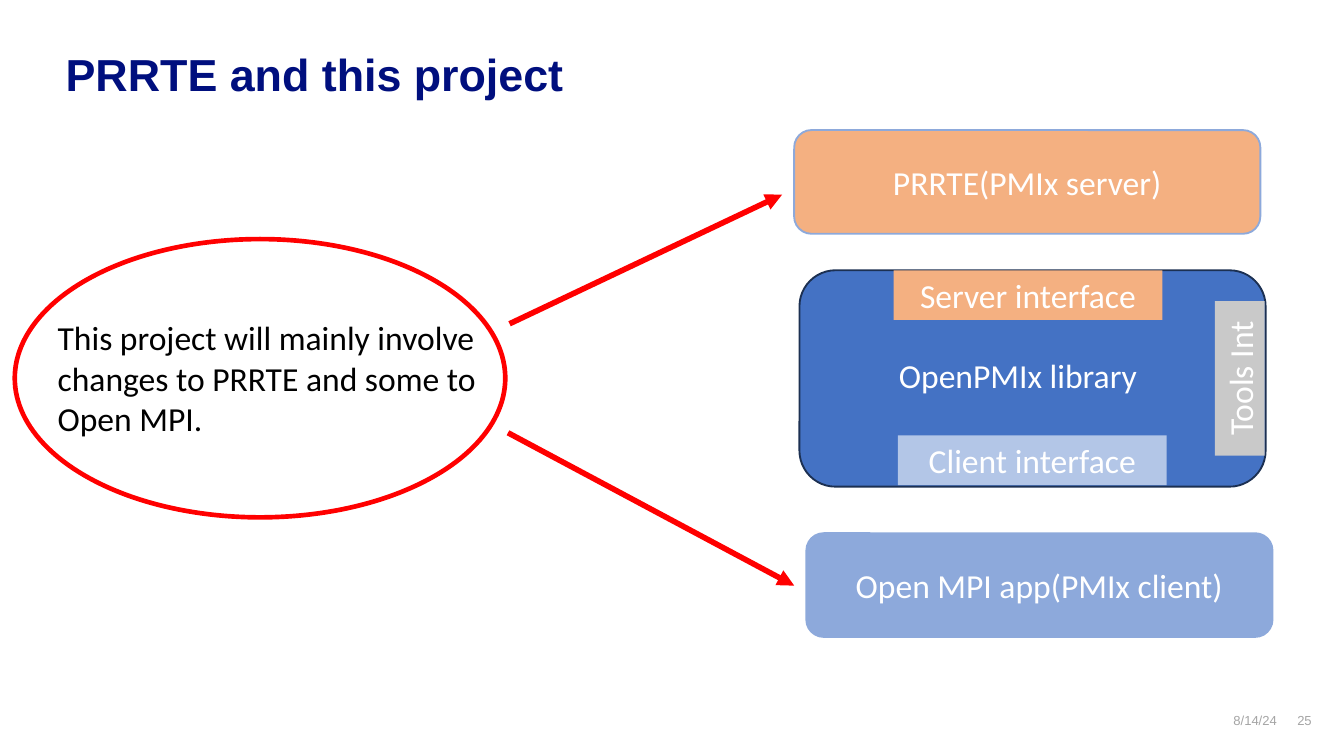
from lxml.etree import SubElement
from pptx import Presentation
from pptx.dml.color import RGBColor
from pptx.enum.shapes import MSO_CONNECTOR as Connector, MSO_SHAPE as Shape
from pptx.enum.text import MSO_ANCHOR as Anchor, PP_ALIGN as Align
from pptx.oxml.ns import qn
from pptx.util import Cm, Pt

COLORS = {
    "navy": "000F7E", "blue": "4472C4", "dark": "1C3052", "soft": "8DA9DB",
    "pale": "B3C6E7", "orange": "F4B081", "silver": "C9C9C9", "gray": "A5A5A5",
    "red": "FF0000", "white": "FFFFFF", "black": "000000",
}

# Places are left, top, width, height in centimetres.
TITLE = ("PRRTE and this project", (1.24, 0.89, 12.57, 1.85))
ROUNDED, PLAIN = Shape.ROUNDED_RECTANGLE, Shape.RECTANGLE
# kind, text, place, fill, line, rotation
BLOCKS = [
    (ROUNDED, "", (15.11, 5.11, 8.81, 4.09), "blue", "dark", 0),
    (PLAIN, "Client interface", (16.97, 8.23, 5.08, 0.94), "pale", None, 0),
    (PLAIN, "Server interface", (16.89, 5.11, 5.08, 0.94), "orange", None, 0),
    (PLAIN, "Tools Int", (21.97, 6.68, 2.92, 0.94), "silver", None, 270),
    (ROUNDED, "Open MPI app(PMIx client)", (15.24, 10.08, 8.81, 1.96), "soft", "soft", 0),
    (ROUNDED, "PRRTE(PMIx server)", (15.01, 2.46, 8.81, 1.96), "orange", "soft", 0),
]
LABELS = [
    ("OpenPMIx library", (16.74, 6.58, 5.59, 1.02), "white"),
    ("This project will mainly involve changes to PRRTE and some to Open MPI.",
     (0.84, 5.87, 8.81, 2.57), "black"),
]
FOOTERS = [("25", (24.18, 13.46, 0.61, 0.56)), ("8/14/24", (22.43, 13.46, 1.7, 0.41))]
ARROWS = [(9.63, 6.12, 14.78, 3.68), (9.6, 8.18, 15.01, 11.07)]
ELLIPSE = (0.28, 4.52, 9.27, 5.26)


def lengths(place):
    return [Cm(value) for value in place]


def rgb(name):
    return RGBColor.from_string(COLORS[name])


def write(shape, text, size=18, font="Calibri", color="white", bold=False,
          align=Align.LEFT, anchor=Anchor.TOP, margins=(0.25, 0.13)):
    frame = shape.text_frame
    frame.word_wrap = True
    frame.vertical_anchor = anchor
    frame.margin_left = frame.margin_right = Cm(margins[0])
    frame.margin_top = frame.margin_bottom = Cm(margins[1])
    para = frame.paragraphs[0]
    para.alignment = align
    span = para.add_run()
    span.text = text
    span.font.size, span.font.name, span.font.bold = Pt(size), font, bold
    span.font.color.rgb = rgb(color)


def add_block(page, kind, place, fill=None, line=None, width=1):
    block = page.shapes.add_shape(kind, *lengths(place))
    block.shadow.inherit = False
    if fill:
        block.fill.solid()
        block.fill.fore_color.rgb = rgb(fill)
    else:
        block.fill.background()
    if line:
        block.line.color.rgb = rgb(line)
        block.line.width = Pt(width)
    else:
        block.line.fill.background()
    return block


def add_arrow(page, ends):
    arrow = page.shapes.add_connector(Connector.STRAIGHT, *lengths(ends))
    arrow.line.color.rgb = rgb("red")
    arrow.line.width = Pt(3)
    SubElement(arrow.line._get_or_add_ln(), qn("a:tailEnd"), type="triangle")
    SubElement(arrow._element.spPr, qn("a:effectLst"))


def main():
    deck = Presentation()
    deck.slide_width, deck.slide_height = Cm(25.4), Cm(14.29)
    page = deck.slides.add_slide(deck.slide_layouts[5])

    text, place = TITLE
    title = page.shapes.title
    title.left, title.top, title.width, title.height = lengths(place)
    write(title, text, size=24, font="Arial", color="navy", bold=True, margins=(0, 0))

    for text, place in FOOTERS:
        write(page.shapes.add_textbox(*lengths(place)), text, size=7, font="Arial",
              color="gray", align=Align.RIGHT, margins=(0, 0))

    for kind, text, place, fill, line, rotation in BLOCKS:
        block = add_block(page, kind, place, fill, line)
        block.rotation = rotation
        if text:
            write(block, text, align=Align.CENTER, anchor=Anchor.MIDDLE)

    for text, place, color in LABELS:
        write(page.shapes.add_textbox(*lengths(place)), text, color=color)

    for ends in ARROWS:
        add_arrow(page, ends)
    add_block(page, Shape.OVAL, ELLIPSE, line="red", width=2.5)

    deck.save("out.pptx")


if __name__ == "__main__":
    main()
